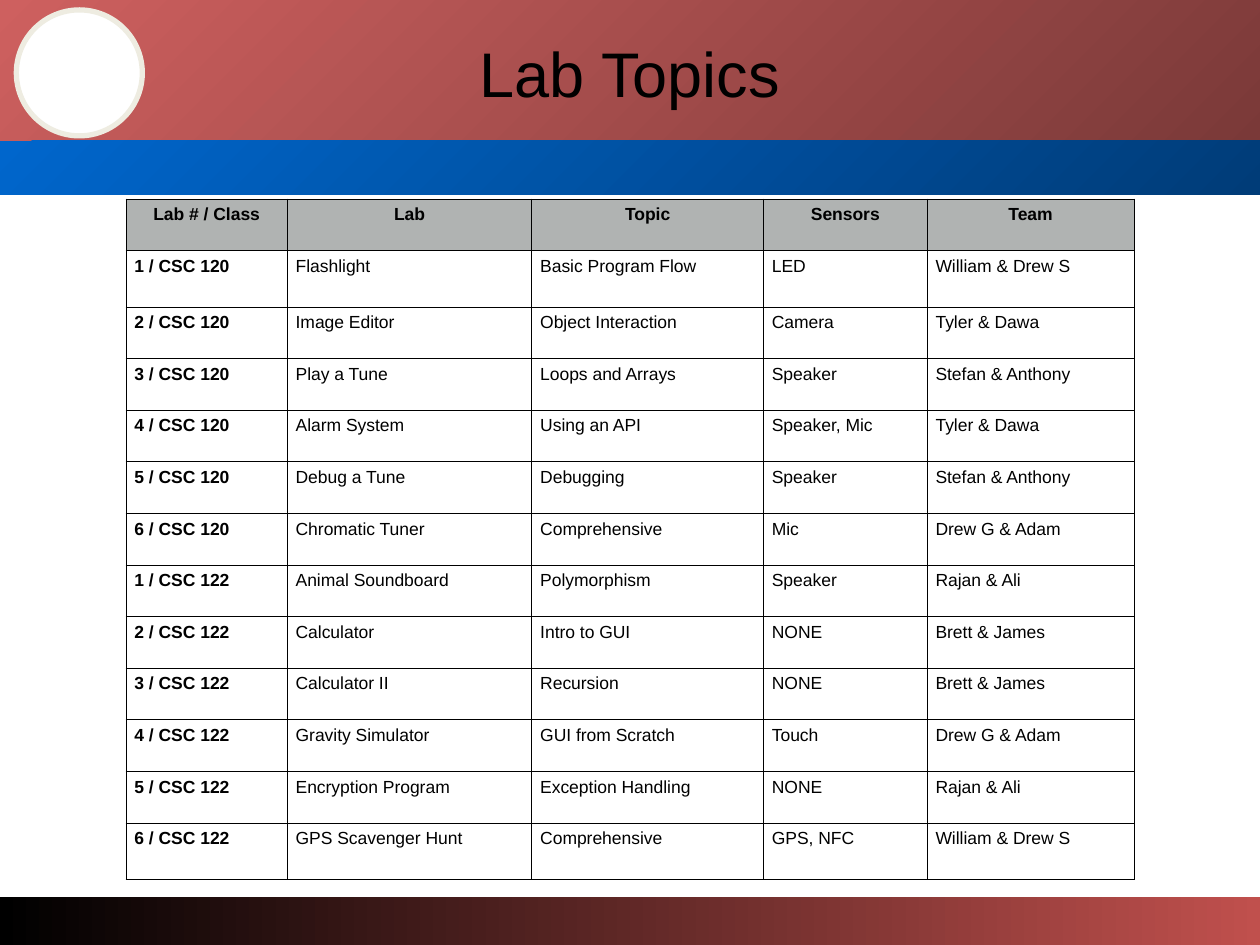
from lxml import etree
from pptx import Presentation
from pptx.dml.color import RGBColor
from pptx.enum.shapes import MSO_SHAPE
from pptx.enum.text import MSO_ANCHOR, MSO_AUTO_SIZE, PP_ALIGN
from pptx.oxml import parse_xml
from pptx.oxml.ns import nsdecls
from pptx.util import Cm, Pt

RECTANGLE, OVAL = MSO_SHAPE.RECTANGLE, MSO_SHAPE.OVAL
LEFT, CENTER = PP_ALIGN.LEFT, PP_ALIGN.CENTER
MIDDLE, NO_FIT = MSO_ANCHOR.MIDDLE, MSO_AUTO_SIZE.NONE
TITLE_ONLY = 5

COLORS = {
    "black": "000000", "white": "FFFFFF", "cream": "EEECE1",
    "header": "B0B3B2", "red": "C0504D",
    "light red": "CE605F", "dark red": "7A3938",
    "blue": "0066CC", "dark blue": "003C78",
}


def color(name):
    return RGBColor.from_string(COLORS[name])


def format_text(para, size, bold, align):
    para.alignment = align
    values = {"name": "Arial", "size": Pt(size), "bold": bold}
    for span in para.runs:
        for key, value in values.items():
            setattr(span.font, key, value)
        span.font.color.rgb = color("black")


deck = Presentation()
deck.slide_width, deck.slide_height = Cm(25.4), Cm(19.05)
page = deck.slides.add_slide(deck.slide_layouts[TITLE_ONLY])

# Bands and round badge: shape, left, top, width, height, colours, angle
decorations = [
    (RECTANGLE, 0, 18.08, 25.4, 1.09, ("black", "red"), 0),
    (RECTANGLE, 0, 0, 25.4, 2.95, ("light red", "dark red"), 315),
    (OVAL, 0.33, 0.2, 2.54, 2.54, ("white",), 0),
    (RECTANGLE, 0, 2.84, 25.4, 1.09, ("blue", "dark blue"), 315),
]
for kind, left, top, width, height, names, angle in decorations:
    shape = page.shapes.add_shape(kind, Cm(left), Cm(top), Cm(width), Cm(height))
    shape.shadow.inherit = False
    if kind == OVAL:
        shape.fill.solid()
        shape.fill.fore_color.rgb = color(names[0])
        shape.line.color.rgb = color("cream")
        shape.line.width = Pt(3)
    else:
        shape.fill.gradient()
        shape.fill.gradient_angle = angle
        for stop, name, position in zip(shape.fill.gradient_stops, names, (0, 1)):
            stop.color.rgb = color(name)
            stop.position = position
        shape.line.fill.background()

# Title, brought in front of the bands
title = page.shapes.title
title.element.getparent().append(title.element)
place = {"left": 1.27, "top": 0.69, "width": 22.86, "height": 1.52}
for key, value in place.items():
    setattr(title, key, Cm(value))
frame = title.text_frame
frame.text = "Lab Topics"
frame_format = {
    "margin_left": 0, "margin_right": 0, "margin_top": 0, "margin_bottom": 0,
    "vertical_anchor": MIDDLE, "word_wrap": True, "auto_size": NO_FIT,
}
for key, value in frame_format.items():
    setattr(frame, key, value)
format_text(frame.paragraphs[0], 36, False, CENTER)

# Table of labs
labs = [
    ("Lab # / Class", "Lab", "Topic", "Sensors", "Team"),
    ("1 / CSC 120", "Flashlight", "Basic Program Flow", "LED", "William & Drew S"),
    ("2 / CSC 120", "Image Editor", "Object Interaction", "Camera", "Tyler & Dawa"),
    ("3 / CSC 120", "Play a Tune", "Loops and Arrays", "Speaker", "Stefan & Anthony"),
    ("4 / CSC 120", "Alarm System", "Using an API", "Speaker, Mic", "Tyler & Dawa"),
    ("5 / CSC 120", "Debug a Tune", "Debugging", "Speaker", "Stefan & Anthony"),
    ("6 / CSC 120", "Chromatic Tuner", "Comprehensive", "Mic", "Drew G & Adam"),
    ("1 / CSC 122", "Animal Soundboard", "Polymorphism", "Speaker", "Rajan & Ali"),
    ("2 / CSC 122", "Calculator", "Intro to GUI", "NONE", "Brett & James"),
    ("3 / CSC 122", "Calculator II", "Recursion", "NONE", "Brett & James"),
    ("4 / CSC 122", "Gravity Simulator", "GUI from Scratch", "Touch", "Drew G & Adam"),
    ("5 / CSC 122", "Encryption Program", "Exception Handling", "NONE", "Rajan & Ali"),
    ("6 / CSC 122", "GPS Scavenger Hunt", "Comprehensive", "GPS, NFC", "William & Drew S"),
]
column_widths = [3.25, 4.93, 4.67, 3.3, 4.17]
row_heights = [1.04, 1.14] + [1.04] * 10 + [1.14]
table = page.shapes.add_table(
    len(labs), len(column_widths), Cm(2.54), Cm(4.01),
    Cm(sum(column_widths)), Cm(sum(row_heights)),
).table
for column, width in zip(table.columns, column_widths):
    column.width = Cm(width)
for row, height in zip(table.rows, row_heights):
    row.height = Cm(height)

border = parse_xml(
    f'<a:ln {nsdecls("a")} w="{Pt(0.45)}"><a:solidFill>'
    f'<a:srgbClr val="{COLORS["black"]}"/></a:solidFill></a:ln>'
)
margins = {
    "margin_left": 0.17, "margin_right": 0.17,
    "margin_top": 0.12, "margin_bottom": 0.12,
}
for row_number, lab in enumerate(labs):
    is_header = row_number == 0
    for column_number, text in enumerate(lab):
        cell = table.cell(row_number, column_number)
        cell.text = text
        for key, value in margins.items():
            setattr(cell, key, Cm(value))
        format_text(cell.text_frame.paragraphs[0], 10,
                    is_header or column_number == 0,
                    CENTER if is_header else LEFT)
        # Borders come before the fill in the cell properties
        properties = cell._tc.get_or_add_tcPr()
        for side in ("lnL", "lnR", "lnT", "lnB"):
            xml = etree.tostring(border, encoding="unicode")
            properties.append(parse_xml(xml.replace("a:ln", f"a:{side}")))
        cell.fill.solid()
        cell.fill.fore_color.rgb = color("header" if is_header else "white")

deck.save("out.pptx")
